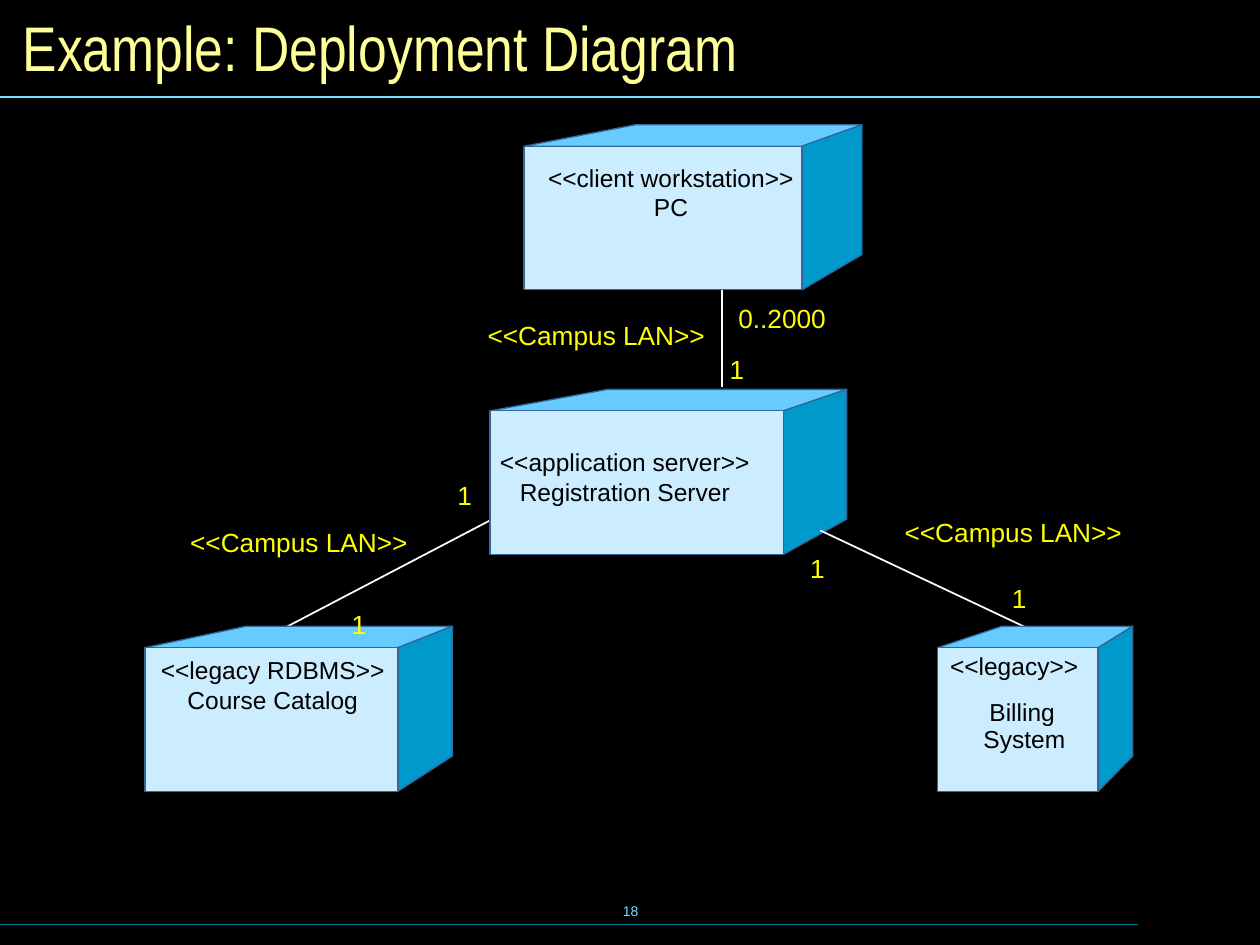
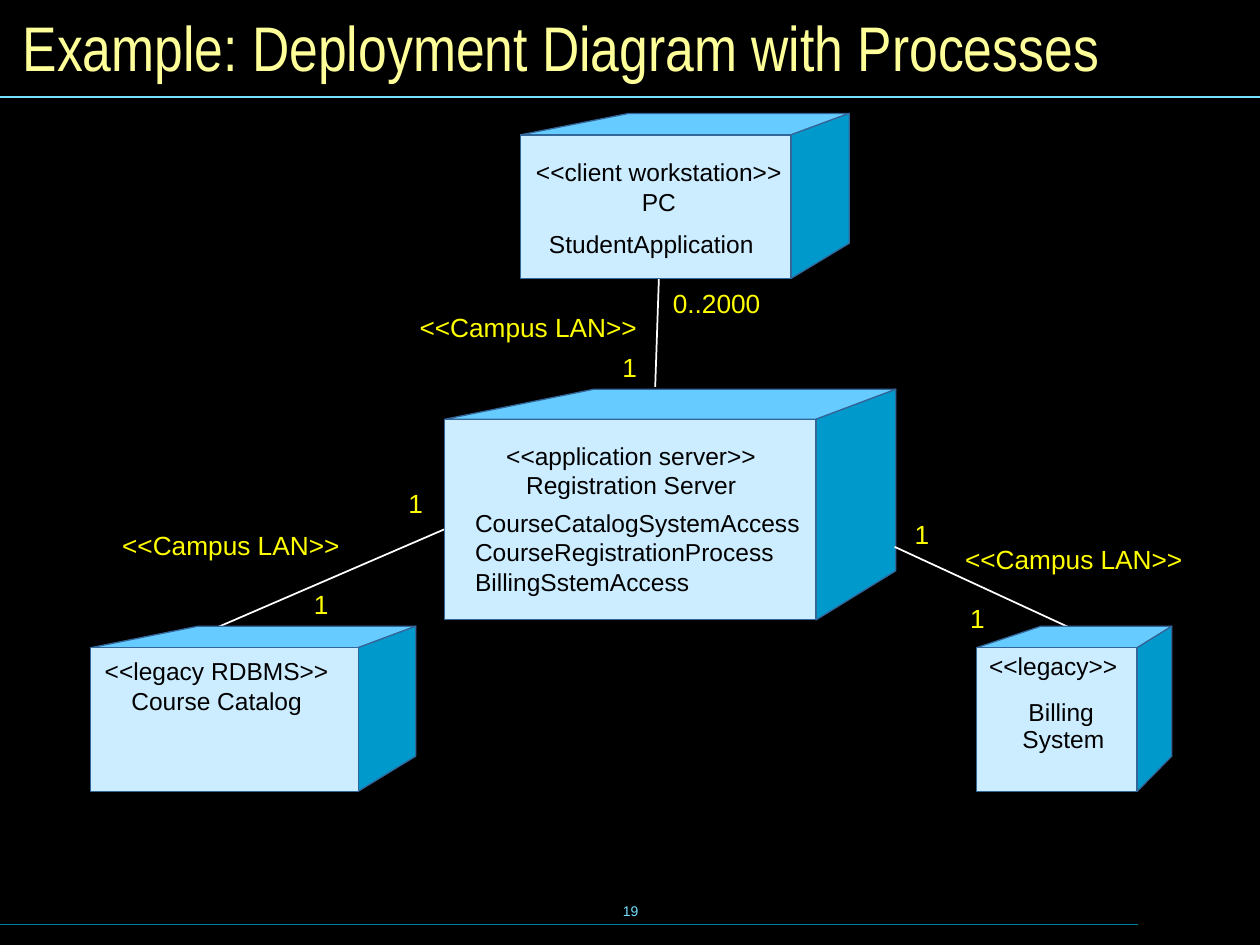
import pptx
import pptx.dml.color
import pptx.enum.shapes
import pptx.enum.text
import pptx.oxml.ns
import pptx.util
from lxml import etree

Inches = pptx.util.Inches
Pt = pptx.util.Pt
ALIGN = pptx.enum.text.PP_ALIGN
ANCHOR = pptx.enum.text.MSO_ANCHOR

HUES = {
    "back": "000000", "title": "FFFF99", "rule": "73E1FF", "foot": "007E9F",
    "link": "FFFFFF", "front": "CCECFF", "top": "66CCFF", "side": "0099CC",
    "edge": "336699", "ink": "000000", "tag": "FFFF00",
}


def hue(name):
    return pptx.dml.color.RGBColor.from_string(HUES[name])


def write(frame, text, size=14, font="Arial", color="ink", align=ALIGN.LEFT,
          anchor=ANCHOR.TOP, pad=(0, 0), wrap=True):
    frame.auto_size = pptx.enum.text.MSO_AUTO_SIZE.NONE
    frame.word_wrap = wrap
    frame.vertical_anchor = anchor
    frame.margin_left = frame.margin_right = Inches(pad[0])
    frame.margin_top = frame.margin_bottom = Inches(pad[1])
    for i, words in enumerate(text.split("\n")):
        para = frame.paragraphs[0] if i == 0 else frame.add_paragraph()
        para.alignment = align
        para.space_before = Pt(0)
        run = para.add_run()
        run.text = words
        run.font.size = Pt(size)
        run.font.name = font
        run.font.bold = False
        run.font.color.rgb = hue(color)


class Deck:
    """Hold the shared style and the slide being drawn."""

    def __init__(self):
        self.show = pptx.Presentation()
        self.show.slide_width = Inches(10)
        self.show.slide_height = Inches(7.5)
        self.slide = None

    def page(self, title, number):
        self.slide = self.show.slides.add_slide(self.show.slide_layouts[5])
        fill = self.slide.background.fill
        fill.solid()
        fill.fore_color.rgb = hue("back")
        self.text(str(number), 3.42, 6.98, 3.17, 0.5, size=8, color="rule",
                  align=ALIGN.CENTER, anchor=ANCHOR.MIDDLE, pad=(0.1, 0.05))
        self.line((0, 7.34), (9.03, 7.34), "foot", 0.75)
        self.line((0, 0.77), (10, 0.77), "rule", 0.75)
        head = self.slide.shapes.title
        head.left, head.top = Inches(0.08), Inches(0.08)
        head.width, head.height = Inches(9.84), Inches(0.58)
        write(head.text_frame, title, size=36, font="Arial Narrow",
              color="title", anchor=ANCHOR.MIDDLE, pad=(0.1, 0.05))

    def text(self, text, x, y, w, h, **style):
        box = self.slide.shapes.add_textbox(Inches(x), Inches(y), Inches(w), Inches(h))
        write(box.text_frame, text, **style)

    def label(self, text, x, y, w, align=ALIGN.CENTER):
        rows = text.count("\n") + 1
        self.text(text, x, y, w, 0.23 * rows, align=align)

    def tag(self, text, x, y):
        wide = {"1": 0.12, "0..2000": 0.7}.get(text, 1.73)
        self.text(text, x, y, wide, 0.25, size=15, color="tag", wrap=False)

    def line(self, start, end, color="link", width=1):
        kind = pptx.enum.shapes.MSO_CONNECTOR.STRAIGHT
        ends = [Inches(v) for v in (*start, *end)]
        line = self.slide.shapes.add_connector(kind, *ends)
        line.line.color.rgb = hue(color)
        line.line.width = Pt(width)
        etree.SubElement(line._element.spPr, pptx.oxml.ns.qn("a:effectLst"))

    def paint(self, shape, color):
        shape.shadow.inherit = False
        shape.fill.solid()
        shape.fill.fore_color.rgb = hue(color)
        shape.line.color.rgb = hue("edge")
        shape.line.width = Pt(0)

    def face(self, shapes, points, color):
        first, *rest = [(Inches(x), Inches(y)) for x, y in points]
        form = shapes.build_freeform(*first)
        form.add_line_segments(rest, close=True)
        self.paint(form.convert_to_shape(), color)

    def cube(self, x, y, w, h=1.31):
        shapes = self.slide.shapes.add_group_shape().shapes
        right, edge = x + w, x + w * 0.823
        lip, base = y + h * 0.13, y + h
        self.face(shapes, [(x, lip), (x + w * 0.33, y), (right, y), (edge, lip)], "top")
        self.face(shapes, [(edge, lip), (right, y), (right, y + h * 0.787), (edge, base)],
                  "side")
        front = shapes.add_shape(
            pptx.enum.shapes.MSO_SHAPE.RECTANGLE,
            Inches(x), Inches(lip), Inches(edge - x), Inches(base - lip))
        self.paint(front, "front")

    def bill(self, x):
        self.cube(x, 4.97, 1.55)
        self.label("Billing ", x + 0.08, 5.53, 1.24)
        self.label("System", x + 0.08, 5.75, 1.22)
        self.label("<<legacy>>", x + 0.1, 5.17, 1.15, align=ALIGN.LEFT)

    def graph(self, links, cubes, bill, labels, lans, ones, many):
        *under, over = links
        for link in under:
            self.line(*link)
        for cube in cubes:
            self.cube(*cube)
        self.line(*over)
        self.bill(bill)
        names = ("<<legacy RDBMS>>\nCourse Catalog",
                 "<<application server>>\nRegistration Server",
                 "<<client workstation>>\nPC")
        for name, spot in zip(names, labels):
            self.label(name, *spot)
        for spot in lans:
            self.tag("<<Campus LAN>>", *spot)
        for spot in ones:
            self.tag("1", *spot)
        self.tag("0..2000", *many)


def main():
    deck = Deck()
    deck.page("Example: Deployment Diagram", 18)
    deck.graph(
        links=[((5.73, 2.28), (5.73, 3.07)), ((3.89, 4.13), (2.17, 5.03)),
               ((6.51, 4.21), (8.27, 5.04))],
        cubes=[(1.15, 4.97, 2.44), (3.89, 3.09, 2.83), (4.16, 0.99, 2.68)],
        bill=7.44,
        labels=[(1.19, 5.2, 1.95), (3.91, 3.55, 2.1), (4.27, 1.29, 2.11)],
        lans=[(3.87, 2.53), (7.18, 4.1), (1.51, 4.18)],
        ones=[(5.79, 2.8), (2.79, 4.83), (3.63, 3.8), (6.43, 4.38), (8.03, 4.62)],
        many=(5.86, 2.4))

    deck.page("Example: Deployment Diagram with Processes", 19)
    deck.graph(
        links=[((5.23, 2.19), (5.2, 3.07)), ((4.41, 3.82), (1.56, 5.05)),
               ((7.1, 4.34), (8.53, 5))],
        cubes=[(0.72, 4.97, 2.58), (3.53, 3.09, 3.58, 1.83), (4.13, 0.9, 2.61)],
        bill=7.75,
        labels=[(0.69, 5.21, 2.06), (3.96, 3.5, 2.1), (4.2, 1.25, 2.06)],
        lans=[(3.33, 2.47), (7.66, 4.31), (0.97, 4.2)],
        ones=[(4.94, 2.79), (2.49, 4.67), (3.24, 3.87), (7.26, 4.11), (7.7, 4.78)],
        many=(5.34, 2.28))
    deck.label("CourseCatalogSystemAccess\nCourseRegistrationProcess\nBillingSstemAccess",
               3.77, 4.03, 2.65, align=ALIGN.LEFT)
    deck.label("StudentApplication", 4.14, 1.82, 2.06)
    deck.show.save("out.pptx")


if __name__ == "__main__":
    main()
